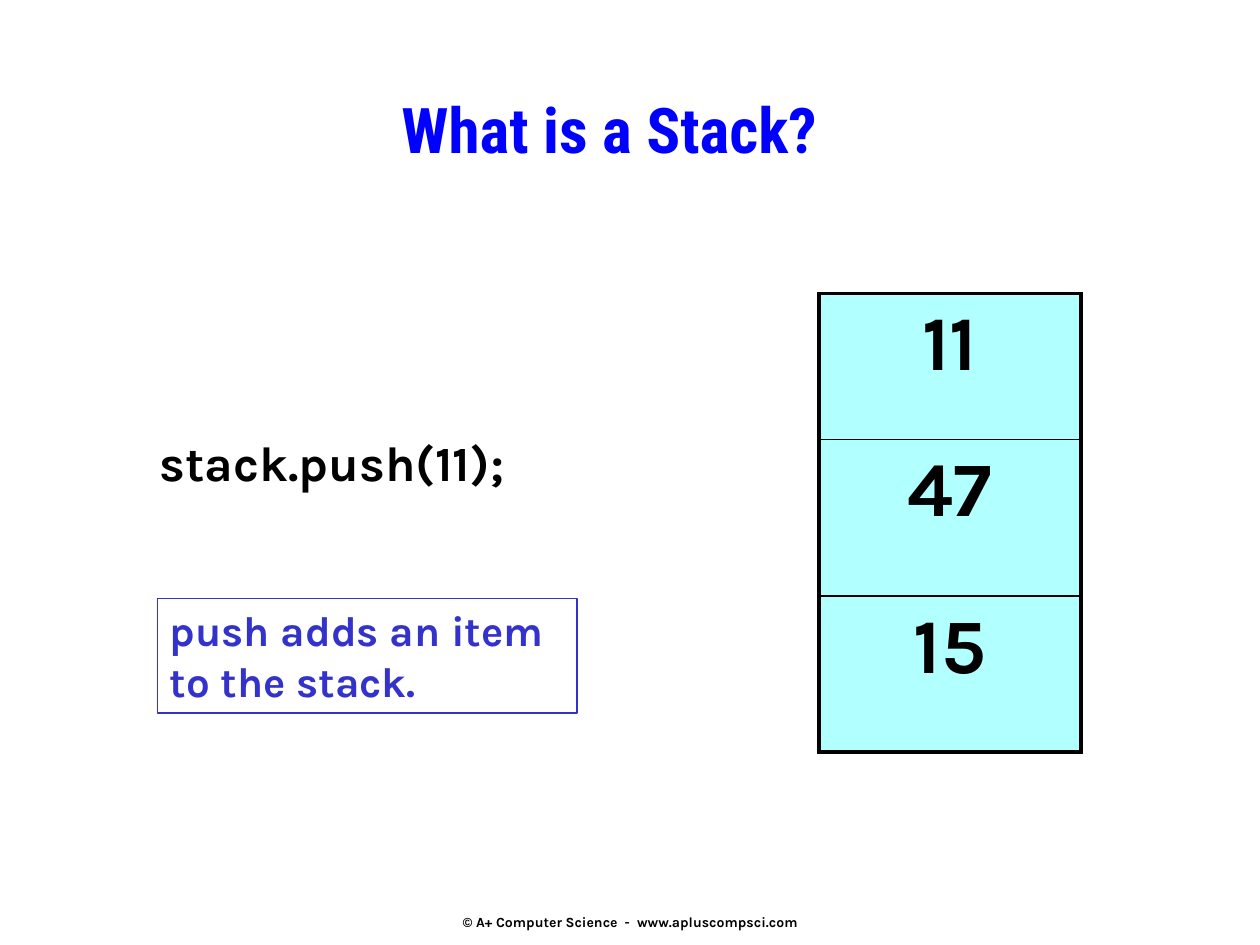
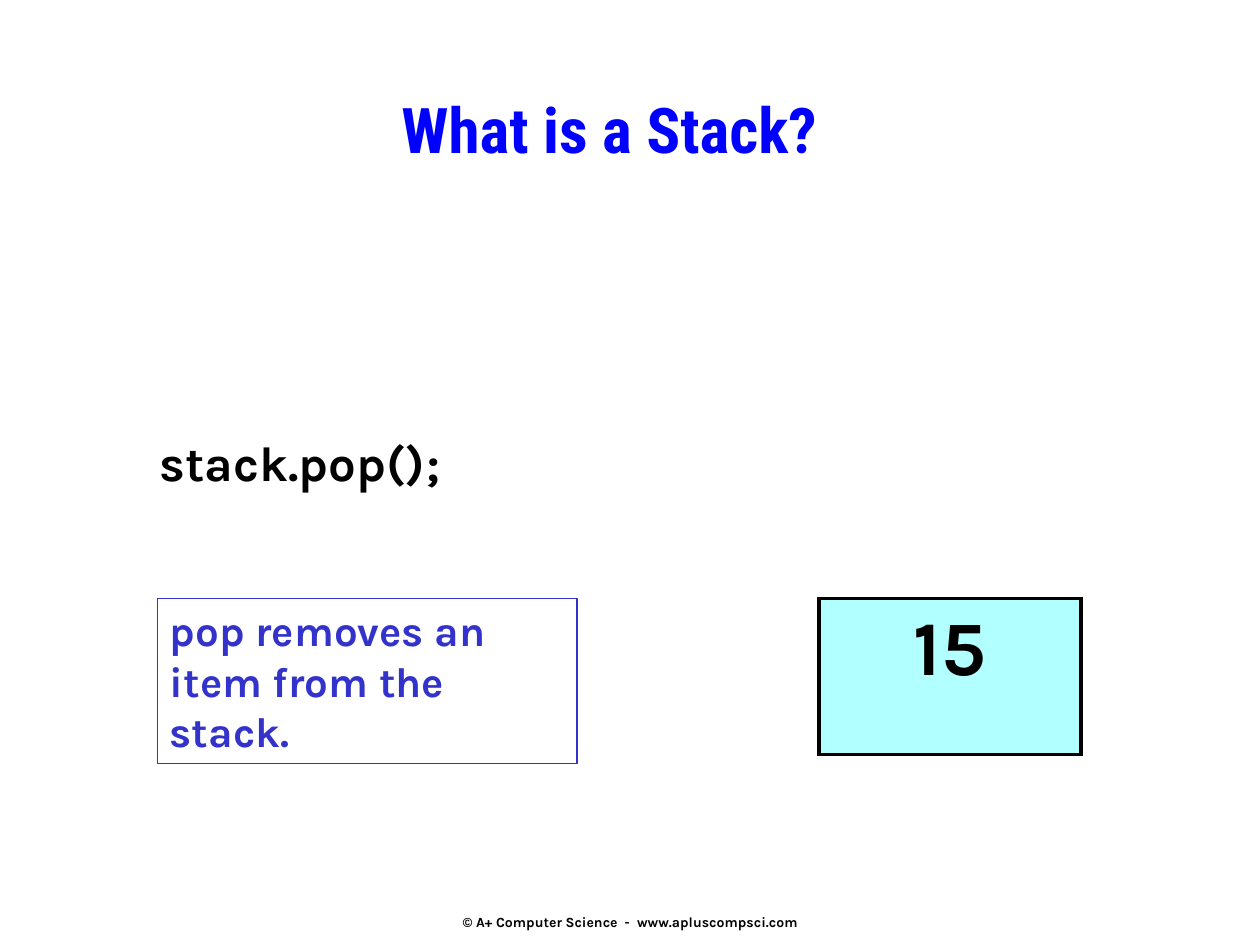
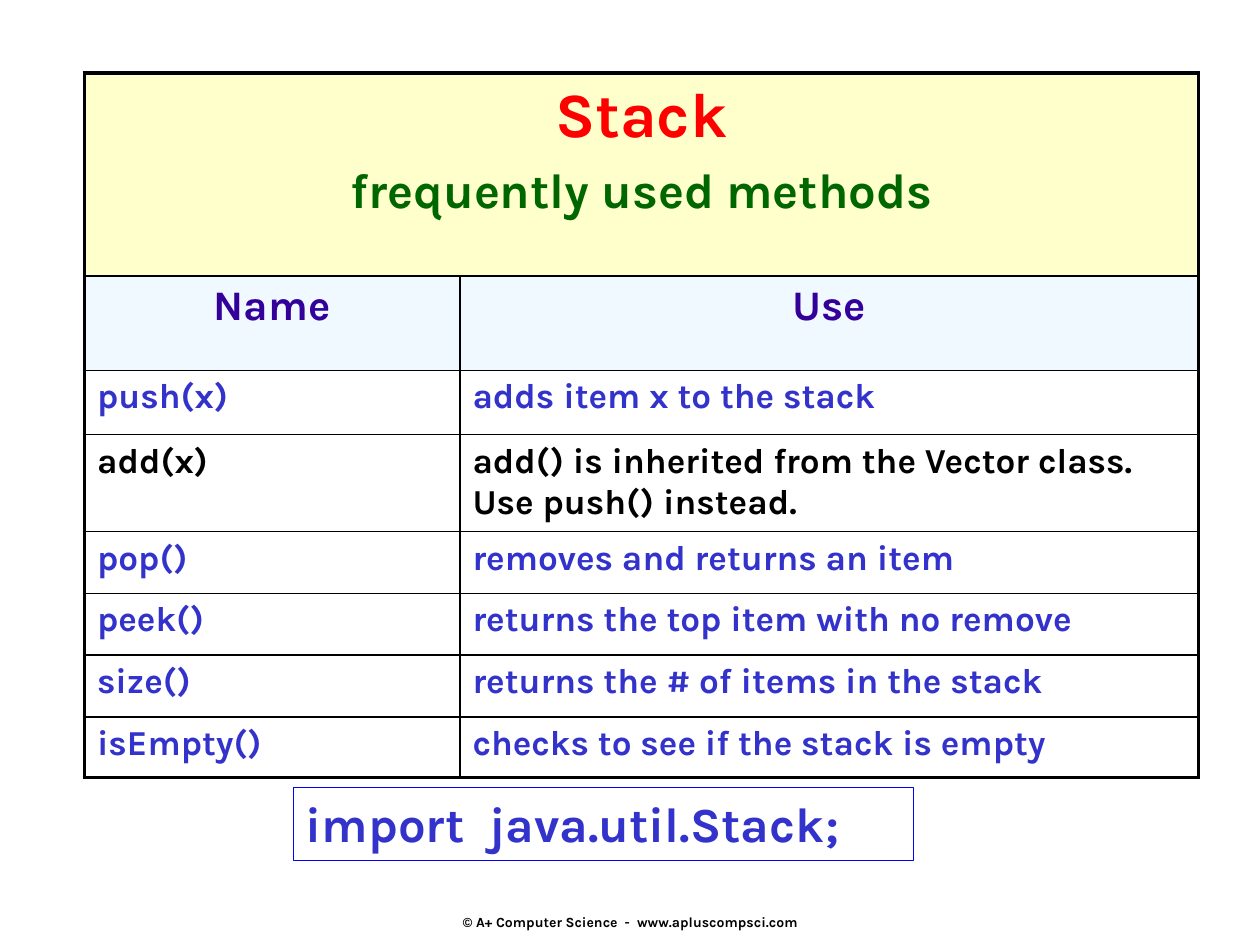
from lxml import etree
from pptx import Presentation
from pptx.dml.color import RGBColor
from pptx.enum.shapes import MSO_SHAPE
from pptx.enum.text import MSO_ANCHOR, PP_ALIGN
from pptx.oxml.ns import qn
from pptx.util import Inches, Pt

RECTANGLE = MSO_SHAPE.RECTANGLE
TOP, BOTTOM = MSO_ANCHOR.TOP, MSO_ANCHOR.BOTTOM
LEFT, CENTER = PP_ALIGN.LEFT, PP_ALIGN.CENTER

BLACK, BLUE, INDIGO = "000000", "0000FF", "3333CC"
RED, GREEN, PURPLE = "FF0000", "006600", "330099"
CYAN, CREAM, ICE, PALE_CYAN = "66FFFF", "FFFFCC", "E1F4FF", "CCFFFF"
BODY_FONT, TITLE_FONT = "Karla", "Roboto Condensed"
OUTER_LINE, INNER_LINE = 2.25, 1

FOOTER_BOX = (3.42, 6.83, 3.17, 0.55)
TITLE_BOX = (1.25, 0.67, 7.17, 1.08)
CODE_BOX = (1.17, 2.92, 3.29, 1.03)
STACK_LEFT, STACK_WIDTH, ITEM_HEIGHT = 6.5, 2.08, 1.24

METHODS = [
    ("push(x)", "adds item x to the stack", INDIGO),
    ("add(x)", "add() is inherited from the Vector class. Use push() instead.", BLACK),
    ("pop()", "removes and returns an item", INDIGO),
    ("peek()", "returns the top item with no remove", INDIGO),
    ("size()", "returns the # of items in the stack", INDIGO),
    ("isEmpty()", "checks to see if the stack is empty", INDIGO),
]


def color(value):
    """Turn a hex string into a colour."""
    return RGBColor.from_string(value)


def style(size, text_color=BLACK, align=LEFT, name=BODY_FONT):
    """Describe the look of a bold paragraph."""
    font = {"size": Pt(size), "name": name, "bold": True}
    return {"font": font, "color": text_color, "align": align}


def write(frame, lines):
    """Fill a text frame with (text, style) paragraphs."""
    for index, (text, look) in enumerate(lines):
        paragraph = frame.add_paragraph() if index else frame.paragraphs[0]
        paragraph.text = text
        paragraph.alignment = look["align"]
        if index:
            paragraph.space_before = Pt(6)
        for run in paragraph.runs:
            for key, value in look["font"].items():
                setattr(run.font, key, value)
            run.font.color.rgb = color(look["color"])


def add_text(slide, box, text, look, anchor=TOP):
    """Add a text box and return its text frame."""
    frame = slide.shapes.add_textbox(*map(Inches, box)).text_frame
    frame.word_wrap = True
    frame.vertical_anchor = anchor
    write(frame, [(text, look)])
    return frame


def add_note(slide, box, text, look, line_color, line_width):
    """Add a framed note without fill."""
    shape = slide.shapes.add_shape(RECTANGLE, *map(Inches, box))
    shape.shadow.inherit = False
    shape.fill.background()
    shape.line.color.rgb = color(line_color)
    shape.line.width = Pt(line_width)
    shape.text_frame.word_wrap = True
    shape.text_frame.vertical_anchor = TOP
    write(shape.text_frame, [(text, look)])


def add_line(parent, index, tag, width, line_color):
    """Insert a solid line element into a properties element."""
    line = etree.Element(qn(tag), w=str(Pt(width)))
    fill = etree.SubElement(line, qn("a:solidFill"))
    etree.SubElement(fill, qn("a:srgbClr"), val=line_color)
    parent.insert(index, line)


def fill_cell(cell, fill_color, opacity=100):
    """Fill a cell, or clear it when there is no colour."""
    if fill_color is None:
        cell.fill.background()
        return
    cell.fill.solid()
    cell.fill.fore_color.rgb = color(fill_color)
    if opacity < 100:
        for element in cell._tc.get_or_add_tcPr().iter(qn("a:srgbClr")):
            etree.SubElement(element, qn("a:alpha"), val=str(opacity * 1000))


def add_grid(slide, position, widths, heights):
    """Add a plain table of the given column widths and row heights."""
    box = (*position, sum(widths), sum(heights))
    table = slide.shapes.add_table(len(heights), len(widths), *map(Inches, box)).table
    table.first_row = table.horz_banding = False
    for column, width in zip(table.columns, widths):
        column.width = Inches(width)
    for row, height in zip(table.rows, heights):
        row.height = Inches(height)
    return table


def add_borders(table):
    """Draw a heavy frame and thin inner lines."""
    last_row, last_column = len(table.rows) - 1, len(table.columns) - 1
    for row in range(last_row + 1):
        for column in range(last_column + 1):
            cell = table.cell(row, column)
            reach = column + (cell.span_width if cell.is_merge_origin else 1) - 1
            edges = {"a:lnL": column == 0, "a:lnR": reach == last_column,
                     "a:lnT": row == 0, "a:lnB": row == last_row}
            for index, (tag, outer) in enumerate(edges.items()):
                width = OUTER_LINE if outer else INNER_LINE
                add_line(cell._tc.get_or_add_tcPr(), index, tag, width, BLACK)


def add_stack(slide, top, items, heights):
    """Draw the stack as a column of items."""
    table = add_grid(slide, (STACK_LEFT, top), [STACK_WIDTH], heights)
    for row, item in enumerate(items):
        cell = table.cell(row, 0)
        write(cell.text_frame, [(item, style(44, align=CENTER))])
        fill_cell(cell, CYAN, 50)
    add_borders(table)


def add_methods(slide, position):
    """Draw the table of stack methods."""
    heights = [1.61, 0.75, 0.51, 0.77, 0.49, 0.49, 0.49, 0.48]
    table = add_grid(slide, position, [2.98, 5.86], heights)
    heading = table.cell(0, 0)
    heading.merge(table.cell(0, 1))
    write(heading.text_frame, [("Stack", style(36, RED, CENTER)),
                               ("frequently used methods", style(28, GREEN, CENTER))])
    fill_cell(heading, CREAM)
    for column, label in enumerate(("Name", "Use")):
        cell = table.cell(1, column)
        write(cell.text_frame, [(label, style(24, PURPLE, CENTER))])
        fill_cell(cell, ICE, 50)
    for row, (*texts, text_color) in enumerate(METHODS, start=2):
        for column, text in enumerate(texts):
            cell = table.cell(row, column)
            write(cell.text_frame, [(text, style(20, text_color))])
            fill_cell(cell, None)
    add_borders(table)


def add_title(slide, text):
    """Add the outlined slide title."""
    frame = add_text(slide, TITLE_BOX, text, style(36, BLUE, CENTER, TITLE_FONT))
    properties = frame.paragraphs[0].runs[0]._r.get_or_add_rPr()
    add_line(properties, 0, "a:ln", 0.75, PALE_CYAN)


def add_slide(presentation):
    """Add a blank slide with the footer."""
    slide = presentation.slides.add_slide(presentation.slide_layouts[6])
    footer = "© A+ Computer Science  -  www.apluscompsci.com"
    add_text(slide, FOOTER_BOX, footer, style(8, align=CENTER), BOTTOM).margin_bottom = 0
    return slide


def add_operation_slide(presentation, code, note, note_height, top, items, heights):
    """Add a slide that shows one stack operation and its result."""
    slide = add_slide(presentation)
    add_text(slide, CODE_BOX, code, style(28), BOTTOM)
    add_note(slide, (1.25, 4.75, 3.33, note_height), note, style(24, INDIGO), INDIGO, 0.75)
    add_stack(slide, top, items, heights)
    add_title(slide, "What is a Stack?")


def add_methods_slide(presentation):
    """Add the slide that lists the stack methods."""
    slide = add_slide(presentation)
    add_methods(slide, (0.67, 0.58))
    add_note(slide, (2.33, 6.25, 4.92, 0.58), "import  java.util.Stack;",
             style(28, INDIGO), BLUE, 1)


def main():
    """Build and save the presentation."""
    presentation = Presentation()
    presentation.slide_width, presentation.slide_height = Inches(10), Inches(7.5)
    add_operation_slide(presentation, "stack.push(11);", "push adds an item\vto the stack.",
                        0.91, 2.33, ["11", "47", "15"], [1.16, ITEM_HEIGHT, ITEM_HEIGHT])
    add_operation_slide(presentation, "stack.pop();", "pop removes an item from the stack.",
                        1.31, 4.75, ["15"], [ITEM_HEIGHT])
    add_methods_slide(presentation)
    presentation.save("out.pptx")


if __name__ == "__main__":
    main()
